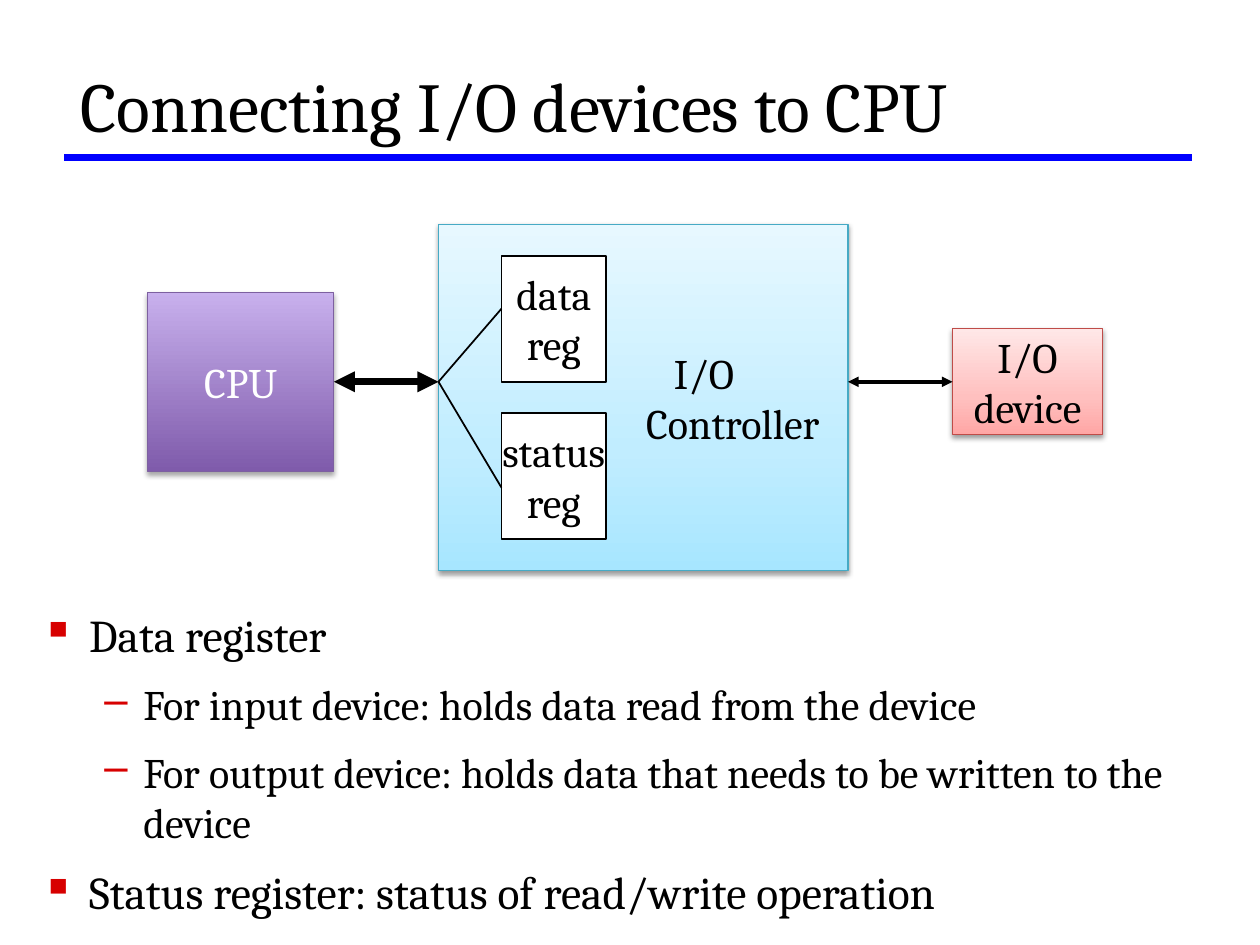
from typing import NamedTuple, Optional

from lxml.etree import SubElement
from pptx import Presentation
from pptx.dml.color import RGBColor
from pptx.enum.shapes import MSO_CONNECTOR, MSO_SHAPE
from pptx.enum.text import MSO_ANCHOR, PP_ALIGN
from pptx.oxml.ns import qn
from pptx.util import Inches, Pt

FONT = "Cambria"
BLACK = RGBColor(0x00, 0x00, 0x00)
WHITE = RGBColor(0xFF, 0xFF, 0xFF)
RULE_BLUE = RGBColor(0x00, 0x00, 0xFF)
BULLET_RED = RGBColor(0xD7, 0x00, 0x00)
PURPLE_EDGE = RGBColor(0x7D, 0x60, 0xA0)
CYAN_EDGE = RGBColor(0x46, 0xAA, 0xC5)
RED_EDGE = RGBColor(0xBF, 0x4C, 0x48)
# Gradient stops as (percent, colour), from bottom to top
PURPLE = ((0, RGBColor(0x7F, 0x5B, 0xAB)), (100, RGBColor(0xC8, 0xB0, 0xED)))
CYAN = ((0, RGBColor(0xA7, 0xE6, 0xFF)), (35, RGBColor(0xC1, 0xED, 0xFF)),
        (100, RGBColor(0xE7, 0xF8, 0xFF)))
PINK = ((0, RGBColor(0xFF, 0xA6, 0xA5)), (35, RGBColor(0xFF, 0xC0, 0xBF)),
        (100, RGBColor(0xFF, 0xE7, 0xE7)))

BUS_Y = 3.03  # common axis of CPU, buses and device


class Box(NamedTuple):
    left: float
    top: float
    width: float
    height: float
    text: str
    edge: RGBColor = BLACK
    edge_width: float = 1
    gradient: Optional[tuple] = None
    color: RGBColor = BLACK
    indents: Optional[tuple] = None  # left-aligned, indented lines
    shadow_alpha: int = 38
    shadow_distance: float = 1.6


class Bullet(NamedTuple):
    text: str
    level: int = 0


class BulletStyle(NamedTuple):
    mark: str
    margin: float
    hanging: float
    size: int


CPU = Box(1.17, BUS_Y - 0.71, 1.48, 1.42, "CPU", PURPLE_EDGE, 0.75, PURPLE,
          WHITE, shadow_alpha=35, shadow_distance=1.8)
CONTROLLER = Box(3.48, 1.78, 3.25, 2.75, "I/O\nController", CYAN_EDGE, 0.75,
                 CYAN, indents=(1.77, 1.55))
DEVICE = Box(7.56, BUS_Y - 0.42, 1.19, 0.84, "I/O\ndevice", RED_EDGE, 0.75, PINK)
REGISTERS = [Box(3.98, 2.03 + 1.25 * row, 0.83, 1, f"{name}\nreg")
             for row, name in enumerate(("data", "status"))]

BULLET_STYLES = (BulletStyle("▪", 0.38, 0.38, 26), BulletStyle("–", 0.81, 0.31, 24))
BULLETS = (
    Bullet("Data register"),
    Bullet("For input device: holds data read from the device", 1),
    Bullet("For output device: holds data that needs to be written to the device", 1),
    Bullet("Status register: status of read/write operation"),
)


def format_runs(paragraph, size: float, color: RGBColor = BLACK) -> None:
    for run in paragraph.runs:
        run.font.name = FONT
        run.font.size = Pt(size)
        run.font.color.rgb = color


def set_gradient(shape, stops: tuple) -> None:
    shape.fill.gradient()
    shape.fill.gradient_angle = 90
    stop_list = shape._element.spPr.find(qn("a:gradFill")).find(qn("a:gsLst"))
    for stop in list(stop_list):
        stop_list.remove(stop)
    for percent, color in stops:
        stop = SubElement(stop_list, qn("a:gs"), pos=str(percent * 1000))
        SubElement(stop, qn("a:srgbClr"), val=str(color))


def add_shadow(shape, alpha: int, distance: float) -> None:
    effects = shape._element.spPr.find(qn("a:effectLst"))
    shadow = SubElement(effects, qn("a:outerShdw"), blurRad=str(Pt(3.1)),
                        dist=str(Pt(distance)), dir="5400000", rotWithShape="0")
    color = SubElement(shadow, qn("a:srgbClr"), val=str(BLACK))
    SubElement(color, qn("a:alpha"), val=str(alpha * 1000))


def add_box(slide, box: Box):
    shape = slide.shapes.add_shape(
        MSO_SHAPE.RECTANGLE, Inches(box.left), Inches(box.top),
        Inches(box.width), Inches(box.height))
    shape.shadow.inherit = False
    shape.line.color.rgb = box.edge
    shape.line.width = Pt(box.edge_width)
    if box.gradient:
        set_gradient(shape, box.gradient)
        add_shadow(shape, box.shadow_alpha, box.shadow_distance)
    else:
        shape.fill.solid()
        shape.fill.fore_color.rgb = WHITE
    text_frame = shape.text_frame
    text_frame.text = box.text
    text_frame.word_wrap = box.indents is not None
    text_frame.vertical_anchor = MSO_ANCHOR.MIDDLE
    for index, paragraph in enumerate(text_frame.paragraphs):
        paragraph.alignment = PP_ALIGN.CENTER
        if box.indents:
            paragraph.alignment = PP_ALIGN.LEFT
            paragraph._p.get_or_add_pPr().set("marL", str(Inches(box.indents[index])))
        format_runs(paragraph, 24, box.color)
    return shape


def add_line(slide, start: tuple, end: tuple, width: float,
             color: RGBColor = BLACK, arrows: bool = False):
    connector = slide.shapes.add_connector(
        MSO_CONNECTOR.STRAIGHT, Inches(start[0]), Inches(start[1]),
        Inches(end[0]), Inches(end[1]))
    connector.line.color.rgb = color
    connector.line.width = Pt(width)
    if arrows:
        for tag in ("a:headEnd", "a:tailEnd"):
            SubElement(connector.line._get_or_add_ln(), qn(tag), type="triangle")
    SubElement(connector._element.spPr, qn("a:effectLst"))
    return connector


def add_title(slide, text: str) -> None:
    title = slide.shapes.title
    title.left, title.top = Inches(0.51), Inches(0.22)
    title.width, title.height = Inches(9.16), Inches(1.22)
    text_frame = title.text_frame
    text_frame.text = text
    text_frame.vertical_anchor = MSO_ANCHOR.MIDDLE
    text_frame.margin_left = text_frame.margin_right = Inches(0.13)
    text_frame.margin_top = text_frame.margin_bottom = Inches(0.07)
    paragraph = text_frame.paragraphs[0]
    paragraph.alignment = PP_ALIGN.LEFT
    format_runs(paragraph, 40)


def add_bullets(slide, bullets: tuple) -> None:
    text_frame = slide.shapes.add_textbox(
        Inches(0.23), Inches(4.77), Inches(9.77), Inches(2.08)).text_frame
    text_frame.text = "\n".join(bullet.text for bullet in bullets)
    text_frame.word_wrap = True
    for paragraph, bullet in zip(text_frame.paragraphs, bullets):
        style = BULLET_STYLES[bullet.level]
        paragraph.level = bullet.level
        paragraph.space_before = Pt(9.8)
        properties = paragraph._p.get_or_add_pPr()
        properties.set("marL", str(Inches(style.margin)))
        properties.set("indent", str(-Inches(style.hanging)))
        bullet_color = SubElement(properties, qn("a:buClr"))
        SubElement(bullet_color, qn("a:srgbClr"), val=str(BULLET_RED))
        SubElement(properties, qn("a:buChar"), char=style.mark)
        format_runs(paragraph, style.size)


def main() -> None:
    presentation = Presentation()
    presentation.slide_width, presentation.slide_height = Inches(10), Inches(7.5)
    slide = presentation.slides.add_slide(presentation.slide_layouts[5])

    # Title with its rule, and the explanation
    add_title(slide, "Connecting I/O devices to CPU")
    add_line(slide, (0.51, 1.25), (9.46, 1.25), 3.5, RULE_BLUE)
    add_bullets(slide, BULLETS)

    # Blocks of the diagram
    cpu, _, device = (add_box(slide, box) for box in (CPU, CONTROLLER, DEVICE))
    for register in REGISTERS:
        add_box(slide, register)

    # Buses, and the branches from the controller port to the registers
    port = (CONTROLLER.left, BUS_Y)
    cpu_bus = add_line(slide, (2.65, BUS_Y), port, 4, arrows=True)
    cpu_bus.begin_connect(cpu, 3)
    device_bus = add_line(slide, (6.73, BUS_Y), (DEVICE.left, BUS_Y), 2, arrows=True)
    device_bus.end_connect(device, 1)
    for register_y in (2.45, 3.87):
        add_line(slide, (REGISTERS[0].left, register_y), port, 1)

    presentation.save("out.pptx")


if __name__ == "__main__":
    main()
